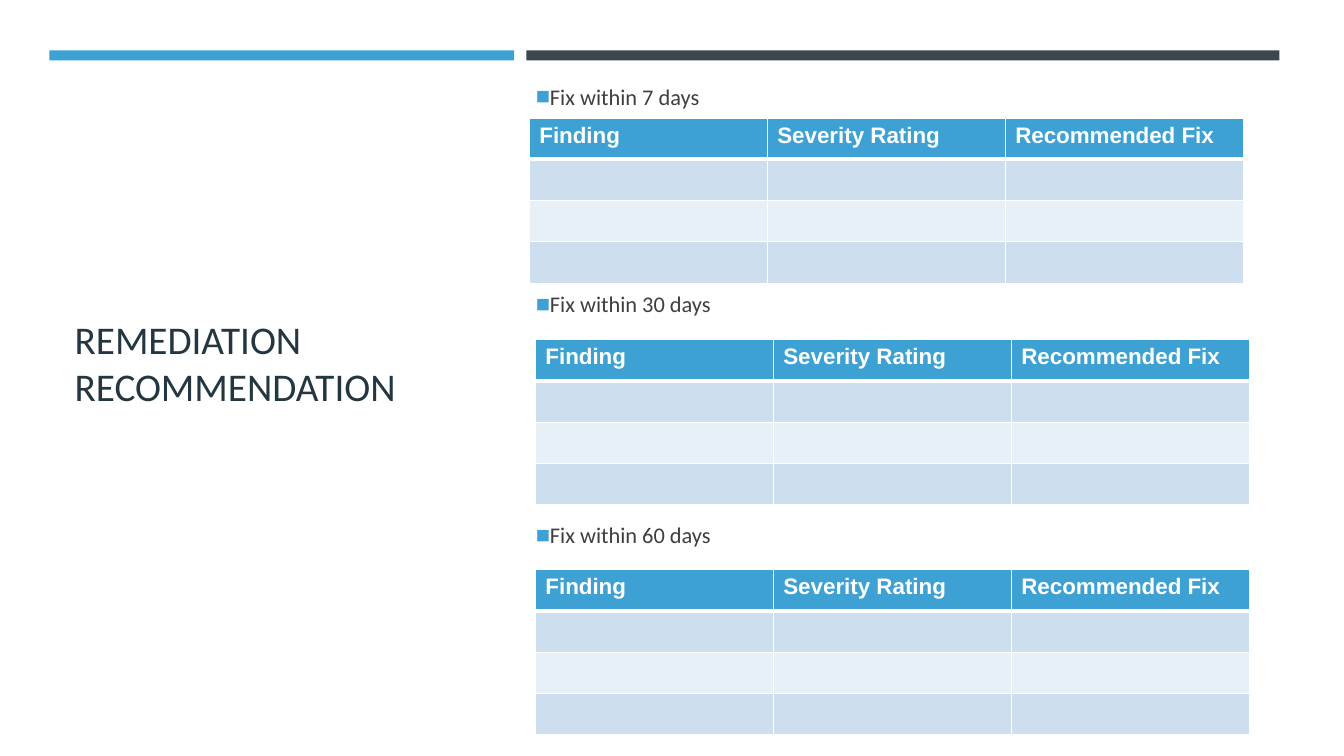
from dataclasses import dataclass

from lxml.etree import SubElement
from pptx import Presentation
from pptx.dml.color import RGBColor
from pptx.enum.shapes import MSO_SHAPE as Shape
from pptx.enum.text import MSO_ANCHOR as Anchor, MSO_AUTO_SIZE as AutoSize, PP_ALIGN as Align
from pptx.oxml.ns import qn
from pptx.util import Pt

EMU_PER_PX = 9144


@dataclass(frozen=True)
class Theme:
    accent: str = "3DA2D3"
    slate: str = "3C474C"
    title: str = "243741"
    body: str = "3F3F3F"
    white: str = "FFFFFF"
    bands: tuple = ("CDDFEF", "E8F0F7")
    text_font: str = "Calibri"
    table_font: str = "Arial"
    title_size: int = 28
    body_size: int = 16


THEME = Theme()
HEADINGS = ("Finding", "Severity Rating", "Recommended Fix")
DEADLINES = (
    ("Fix within 7 days", 77, 525, 117),
    ("Fix within 30 days", 283, 531, 337),
    ("Fix within 60 days", 512, 531, 565),
)
COLUMN_WIDTH = 236
ROW_HEIGHT = 41
FINDING_ROWS = 3


def px(*lengths):
    return [length * EMU_PER_PX for length in lengths]


def paint(target, color):
    target.fill.solid()
    target.fill.fore_color.rgb = RGBColor.from_string(color)


def style_font(para, name, size, color, bold=False):
    para.font.name = name
    para.font.size = Pt(size)
    para.font.bold = bold
    para.font.color.rgb = RGBColor.from_string(color)


def add_title(page, text):
    title = page.shapes.title
    title.left, title.top, title.width, title.height = px(64, 77, 446, 564)
    frame = title.text_frame
    frame.text = text
    frame.word_wrap = True
    frame.auto_size = AutoSize.NONE
    frame.vertical_anchor = Anchor.MIDDLE
    para = frame.paragraphs[0]
    para.alignment = Align.LEFT
    style_font(para, THEME.text_font, THEME.title_size, THEME.title)


def add_bar(page, left, width, color):
    bar = page.shapes.add_shape(Shape.RECTANGLE, *px(left, 50, width, 10))
    bar.shadow.inherit = False
    paint(bar, color)
    bar.line.fill.background()


def add_bullet(para):
    properties = para._p.get_or_add_pPr()
    properties.set("marL", "0")
    properties.set("indent", str(-10 * EMU_PER_PX))
    color = SubElement(properties, qn("a:buClr"))
    SubElement(color, qn("a:srgbClr"), val=THEME.accent)
    SubElement(properties, qn("a:buFont"), typeface=THEME.table_font)
    SubElement(properties, qn("a:buChar"), char="◼")


def add_deadline(page, text, top):
    box = page.shapes.add_textbox(*px(522, top, 709, 37))
    frame = box.text_frame
    frame.word_wrap = True
    frame.vertical_anchor = Anchor.MIDDLE
    para = frame.paragraphs[0]
    para.text = text
    add_bullet(para)
    style_font(para, THEME.text_font, THEME.body_size, THEME.body)


def add_borders(cell, row):
    properties = cell._tc.get_or_add_tcPr()
    widths = {"L": 1, "R": 1, "T": 3 if row == 1 else 1, "B": 3 if row == 0 else 1}
    for index, (side, width) in enumerate(widths.items()):
        border = properties.makeelement(qn(f"a:ln{side}"), {"w": str(Pt(width))})
        fill = SubElement(border, qn("a:solidFill"))
        SubElement(fill, qn("a:srgbClr"), val=THEME.white)
        properties.insert(index, border)


def add_findings_table(page, left, top):
    rows, columns = FINDING_ROWS + 1, len(HEADINGS)
    size = px(columns * COLUMN_WIDTH, rows * ROW_HEIGHT)
    table = page.shapes.add_table(rows, columns, *px(left, top), *size).table
    for row in range(rows):
        for column, heading in enumerate(HEADINGS):
            cell = table.cell(row, column)
            paint(cell, THEME.bands[(row - 1) % 2] if row else THEME.accent)
            add_borders(cell, row)
            if row == 0:
                cell.text = heading
                para = cell.text_frame.paragraphs[0]
                style_font(para, THEME.table_font, THEME.body_size, THEME.white, bold=True)


def main():
    deck = Presentation()
    deck.slide_width, deck.slide_height = px(1333, 750)
    page = deck.slides.add_slide(deck.slide_layouts[5])
    add_title(page, "REMEDIATION RECOMMENDATION")
    add_bar(page, 49, 461, THEME.accent)
    add_bar(page, 522, 747, THEME.slate)
    for text, text_top, table_left, table_top in DEADLINES:
        add_deadline(page, text, text_top)
        add_findings_table(page, table_left, table_top)
    deck.save("out.pptx")


if __name__ == "__main__":
    main()
